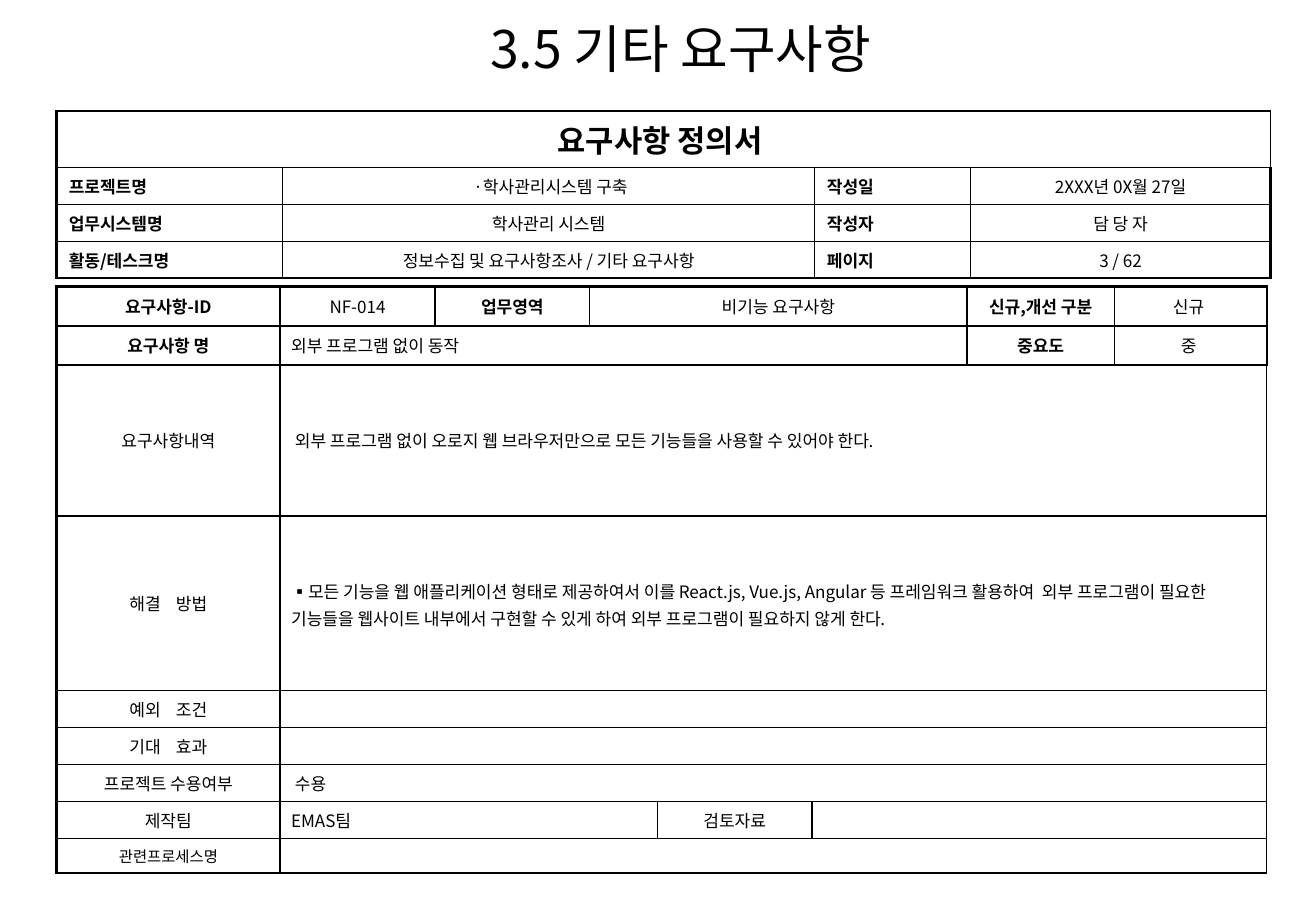
from dataclasses import dataclass
from itertools import product

from lxml.etree import SubElement
from pptx import Presentation
from pptx.dml.color import RGBColor
from pptx.enum.text import MSO_ANCHOR as Anchor, PP_ALIGN as Align
from pptx.oxml.ns import qn
from pptx.util import Inches, Pt


@dataclass(frozen=True)
class Theme:
    font: str = "Noto Sans CJK KR"
    ink: RGBColor = RGBColor(0, 0, 0)
    title: float = 30.3
    heading: float = 18
    body: float = 10
    small: float = 9
    thin: float = 1
    thick: float = 1.5


@dataclass(frozen=True)
class Entry:
    """One table cell: its text, column span and formatting."""
    text: str = ""
    span: int = 1
    align: Align = Align.CENTER
    bold: bool = False
    size: float = Theme.body
    bullet: str = ""


def label(text, **kw):
    return Entry(text, bold=True, **kw)


def side_label(text):
    return label(text, align=Align.JUSTIFY)


def left(text, span, **kw):
    return Entry(text, span, Align.LEFT, **kw)


class Builder:
    def __init__(self, slide, theme):
        self.slide, self.theme = slide, theme

    def add_run(self, p, text, size, bold=False):
        r = p.add_run()
        r.text = text
        r.font.size, r.font.bold = Pt(size), bold
        r.font.color.rgb = self.theme.ink
        r.font.name = self.theme.font
        SubElement(r.font._element, qn("a:ea"), typeface=self.theme.font)

    def title(self, text, x, y, w, h):
        sp = self.slide.shapes.title
        sp.left, sp.top, sp.width, sp.height = map(Inches, (x, y, w, h))
        tf = sp.text_frame
        tf.vertical_anchor = Anchor.TOP
        p = tf.paragraphs[0]
        p.alignment, p.line_spacing = Align.CENTER, 0.9
        self.add_run(p, text, self.theme.title)

    def border(self, cell, sides):
        """Draw the cell's edges; sides maps L, R, T, B to 'is thick'."""
        tc_pr = cell._tc.get_or_add_tcPr()
        for side, thick in sides.items():
            width = self.theme.thick if thick else self.theme.thin
            ln = SubElement(tc_pr, qn(f"a:ln{side}"), w=str(Pt(width)))
            fill = SubElement(ln, qn("a:solidFill"))
            SubElement(fill, qn("a:srgbClr"), val=str(self.theme.ink))

    def fill_cell(self, cell, entry, anchor, inset):
        cell.vertical_anchor = anchor
        cell.margin_left = cell.margin_right = Inches(inset)
        cell.margin_top = cell.margin_bottom = Inches(0.05)
        p = cell.text_frame.paragraphs[0]
        p.alignment = entry.align
        if entry.bullet:
            p.line_spacing = 1.1
            p_pr = p._p.get_or_add_pPr()
            p_pr.set("marL", "0")
            p_pr.set("indent", "0")
            SubElement(p_pr, qn("a:buFont"), typeface=self.theme.font)
            SubElement(p_pr, qn("a:buChar"), char=entry.bullet)
        if entry.text:
            self.add_run(p, entry.text, entry.size, entry.bold)
        else:
            SubElement(p._p, qn("a:endParaRPr"), sz=str(entry.size * 100))

    def table(self, x, y, widths, heights, rows, thick_rules, inset, anchor):
        """Add a table; thick_rules lists the heavy horizontal lines from 0."""
        n_rows, n_cols = len(heights), len(widths)
        tbl = self.slide.shapes.add_table(
            n_rows, n_cols, Inches(x), Inches(y),
            Inches(sum(widths)), Inches(sum(heights))).table
        tbl.first_row = tbl.horz_banding = False
        for col, w in zip(tbl.columns, widths):
            col.width = Inches(w)
        for row, h in zip(tbl.rows, heights):
            row.height = Inches(h)
        for i, j in product(range(n_rows), range(n_cols)):
            cell = tbl.cell(i, j)
            self.border(cell, {"L": j == 0, "R": j == n_cols - 1,
                               "T": i in thick_rules, "B": i + 1 in thick_rules})
            cell.fill.background()
        for i, entries in enumerate(rows):
            j = 0
            for entry in entries:
                cell = tbl.cell(i, j)
                if entry.span > 1:
                    cell.merge(tbl.cell(i, j + entry.span - 1))
                middle = entry.size == self.theme.heading or not entry.text
                self.fill_cell(cell, entry, Anchor.MIDDLE if middle else anchor, inset)
                j += entry.span


DOCUMENT_ROWS = [
    [label("요구사항 정의서 ", span=4, size=Theme.heading)],
    [side_label("프로젝트명"), Entry(" ·학사관리시스템 구축"),
     side_label("작성일"), Entry("2XXX년 0X월 27일")],
    [side_label("업무시스템명 "), Entry("학사관리 시스템"),
     side_label("작성자"), Entry("담 당 자")],
    [side_label("활동/테스크명"), Entry("정보수집 및 요구사항조사 / 기타 요구사항"),
     side_label("페이지"), Entry("3 / 62")],
]

SOLUTION = ("모든 기능을 웹 애플리케이션 형태로 제공하여서 이를 React.js, Vue.js, Angular 등 "
            "프레임워크 활용하여  외부 프로그램이 필요한 기능들을 웹사이트 내부에서 구현할 수 있게 "
            "하여 외부 프로그램이 필요하지 않게 한다.")

REQUIREMENT_ROWS = [
    [label("요구사항-ID"), Entry("NF-014"), label("업무영역"),
     Entry("비기능 요구사항", 3), label("신규,개선 구분"), Entry("신규 ")],
    [label("요구사항 명"), left("외부 프로그램 없이 동작", 5),
     label("중요도"), Entry("중 ")],
    [Entry("요구사항내역"),
     left(" 외부 프로그램 없이 오로지 웹 브라우저만으로 모든 기능들을 사용할 수 있어야 한다.", 7)],
    [Entry("해결    방법"), left(SOLUTION, 7, bullet="▪")],
    [Entry("예외    조건"), left("", 7)],
    [Entry("기대    효과"), left("", 7)],
    [Entry("프로젝트 수용여부"), left(" 수용", 7)],
    [Entry("제작팀"), left("EMAS팀", 3), Entry("검토자료"), left("", 3)],
    [Entry("관련프로세스명", size=Theme.small), left("", 7, size=Theme.small)],
]


def main():
    prs = Presentation()
    prs.slide_width, prs.slide_height = Inches(10.71), Inches(7.5)
    s = Builder(prs.slides.add_slide(prs.slide_layouts[5]), Theme())
    s.title("3.5 기타 요구사항", 0.75, 0.14, 9.58, 1.44)
    s.table(0.46, 0.9, [1.84, 4.33, 1.27, 2.44], [0.43] + [0.26] * 3,
            DOCUMENT_ROWS, {0, 4}, 0.1, Anchor.TOP)
    s.table(0.46, 2.33, [1.82, 1.26, 1.26, 0.55, 1.26, 1.26, 1.2, 1.24],
            [0.32, 0.32, 1.23, 1.42] + [0.25] * 5,
            REQUIREMENT_ROWS, {0, 1, 2, 9}, 0.09, Anchor.MIDDLE)
    prs.save("out.pptx")


if __name__ == "__main__":
    main()
